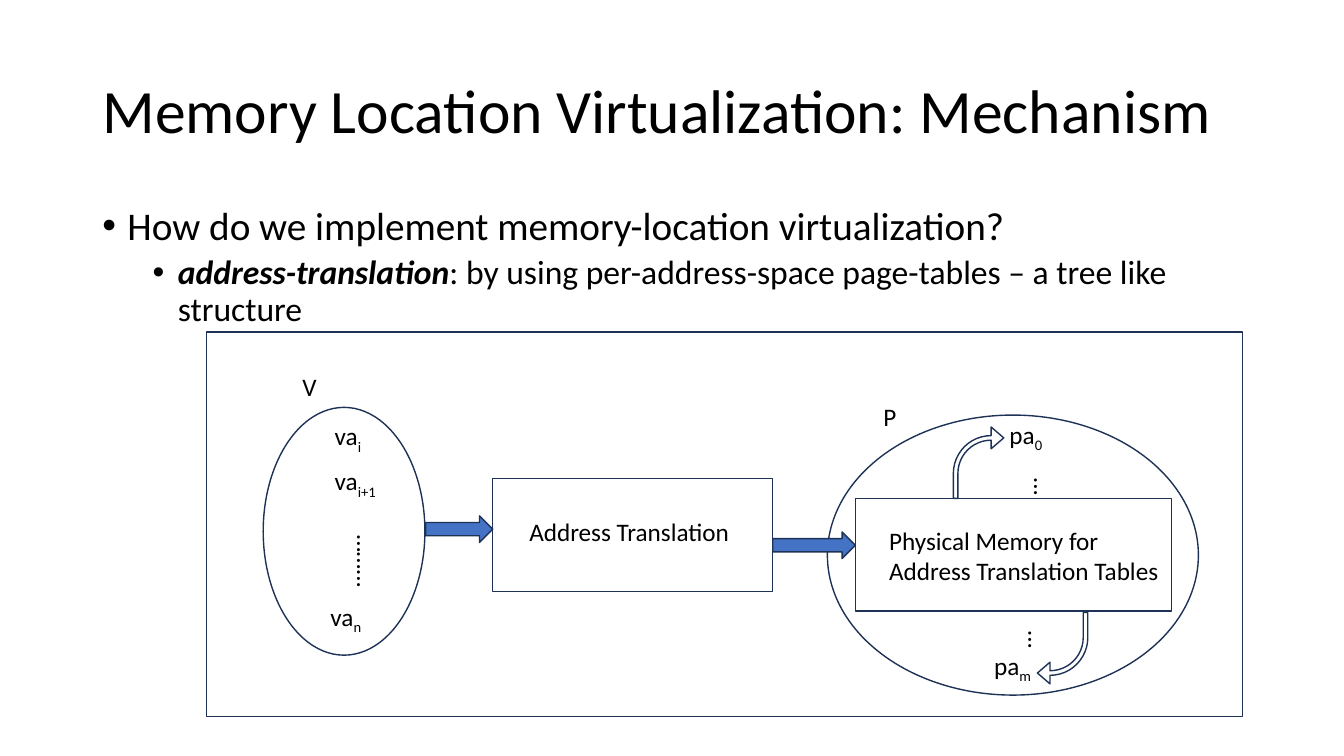
"""Builds the slide on the address-translation mechanism of memory virtualization."""
from dataclasses import dataclass
from typing import Optional

from lxml import etree
from pptx import Presentation
from pptx import util as u
from pptx.dml.color import RGBColor
from pptx.enum import shapes, text
from pptx.oxml import ns


@dataclass(frozen=True)
class Theme:
    font: str = "Calibri"
    ink: RGBColor = RGBColor(0, 0, 0)
    outline: RGBColor = RGBColor(0x1E, 0x32, 0x56)
    arrow: RGBColor = RGBColor(0x44, 0x72, 0xC4)
    title: float = 44
    bullet: float = 28
    sub_bullet: float = 24
    label: float = 18
    line: float = 1


@dataclass(frozen=True)
class Figure:
    kind: shapes.MSO_SHAPE
    left: float
    top: float
    width: float
    height: float
    fill: Optional[RGBColor] = None
    rotation: float = 0
    adjustments: tuple[float, ...] = ()


@dataclass(frozen=True)
class Label:
    words: str
    left: float
    top: float
    width: float
    height: float = 29
    subscript: str = ""
    rotation: float = 0
    wrap: bool = True


@dataclass(frozen=True)
class Bullet:
    lead: str
    rest: str
    size: float
    indent: float
    before: float


THEME = Theme()
KIND = shapes.MSO_SHAPE
BEND = (0.091, 0.216, 0.25, 0.75)
HANGING = 18

BULLETS = [
    Bullet("", "How do we implement memory-location virtualization?", THEME.bullet, 18, 0),
    Bullet("address-translation", ": by using per-address-space page-tables – a tree like structure",
           THEME.sub_bullet, 54, 5),
]

FIGURES = [
    Figure(KIND.OVAL, 188, 291, 115.5, 177),
    Figure(KIND.OVAL, 591, 296.5, 265, 200),
    Figure(KIND.RECTANGLE, 147.5, 237, 740, 275),
    Figure(KIND.RECTANGLE, 611, 356, 226, 80.5),
    Figure(KIND.RECTANGLE, 352, 342, 200, 80.5),
    Figure(KIND.RIGHT_ARROW, 304, 368.5, 48, 19, THEME.arrow),
    Figure(KIND.RIGHT_ARROW, 552, 380, 59, 19, THEME.arrow),
    Figure(KIND.BENT_ARROW, 681, 305, 36, 51, adjustments=BEND),
    Figure(KIND.BENT_ARROW, 741, 437.5, 36, 51, rotation=180, adjustments=BEND),
]

LABELS = [
    Label("V", 209, 262, 25, wrap=False),
    Label("P", 624, 283, 24, wrap=False),
    Label("va", 232, 297, 36, subscript="i"),
    Label("va", 232, 329, 61, subscript="i+1"),
    Label("va", 229, 426, 39, subscript="n"),
    Label("………", 221, 383, 58, rotation=270),
    Label("pa", 714, 296, 41, subscript="0"),
    Label("pa", 703, 461, 43, subscript="m"),
    Label("…", 716, 329, 35, rotation=270),
    Label("…", 715, 441, 29, rotation=270),
    Label("Physical Memory for\nAddress Translation Tables", 628, 371.5, 209, 51, wrap=False),
    Label("Address Translation", 371, 365, 186),
]


def style(para, size: float) -> None:
    """Set the common font of a paragraph."""
    para.font.name = THEME.font
    para.font.size = u.Pt(size)
    para.font.color.rgb = THEME.ink


def place(shape, left: float, top: float, width: float, height: float) -> None:
    """Move and size a shape in points."""
    shape.left, shape.top = u.Pt(left), u.Pt(top)
    shape.width, shape.height = u.Pt(width), u.Pt(height)


def add_title(page, words: str) -> None:
    """Fill and format the title placeholder."""
    title = page.shapes.title
    place(title, 66, 29, 828, 104.5)
    frame = title.text_frame
    frame.text = words
    frame.word_wrap = True
    frame.auto_size = text.MSO_AUTO_SIZE.NONE
    frame.vertical_anchor = text.MSO_ANCHOR.MIDDLE
    para = frame.paragraphs[0]
    para.alignment = text.PP_ALIGN.LEFT
    para.line_spacing = 0.9
    style(para, THEME.title)


def add_bullets(page, bullets: list[Bullet]) -> None:
    """Draw the bulleted text with hanging indents."""
    box = page.shapes.add_textbox(u.Pt(66), u.Pt(144), u.Pt(828), u.Pt(342.5))
    frame = box.text_frame
    frame.word_wrap = True
    for index, bullet in enumerate(bullets):
        para = frame.add_paragraph() if index else frame.paragraphs[0]
        para.level = index
        para.line_spacing = 0.9
        para.space_before = u.Pt(bullet.before)
        props = para._p.get_or_add_pPr()
        props.set("marL", str(u.Pt(bullet.indent)))
        props.set("indent", str(-u.Pt(HANGING)))
        etree.SubElement(props, ns.qn("a:buFont"), typeface="Arial")
        etree.SubElement(props, ns.qn("a:buChar"), char="•")
        style(para, bullet.size)
        if bullet.lead:
            span = para.add_run()
            span.text = bullet.lead
            span.font.bold = span.font.italic = True
        para.add_run().text = bullet.rest


def add_figure(page, figure: Figure) -> None:
    """Draw one outlined shape."""
    shape = page.shapes.add_shape(figure.kind, 0, 0, 0, 0)
    place(shape, figure.left, figure.top, figure.width, figure.height)
    shape.rotation = figure.rotation
    shape.shadow.inherit = False
    for index, value in enumerate(figure.adjustments):
        shape.adjustments[index] = value
    if figure.fill is None:
        shape.fill.background()
    else:
        shape.fill.solid()
        shape.fill.fore_color.rgb = figure.fill
    shape.line.color.rgb = THEME.outline
    shape.line.width = u.Pt(THEME.line)


def add_label(page, label: Label) -> None:
    """Draw one diagram label with an optional subscript."""
    box = page.shapes.add_textbox(0, 0, 0, 0)
    place(box, label.left, label.top, label.width, label.height)
    box.rotation = label.rotation
    frame = box.text_frame
    frame.word_wrap = label.wrap
    frame.text = label.words
    for para in frame.paragraphs:
        style(para, THEME.label)
    if label.subscript:
        span = frame.paragraphs[0].add_run()
        span.text = label.subscript
        span._r.get_or_add_rPr().set("baseline", "-25000")


def main() -> None:
    """Build and save the deck."""
    deck = Presentation()
    deck.slide_width, deck.slide_height = u.Pt(960), u.Pt(540)
    page = deck.slides.add_slide(deck.slide_layouts.get_by_name("Title Only"))
    add_title(page, "Memory Location Virtualization: Mechanism")
    add_bullets(page, BULLETS)
    for figure in FIGURES:
        add_figure(page, figure)
    for label in LABELS:
        add_label(page, label)
    deck.save("out.pptx")


if __name__ == "__main__":
    main()
